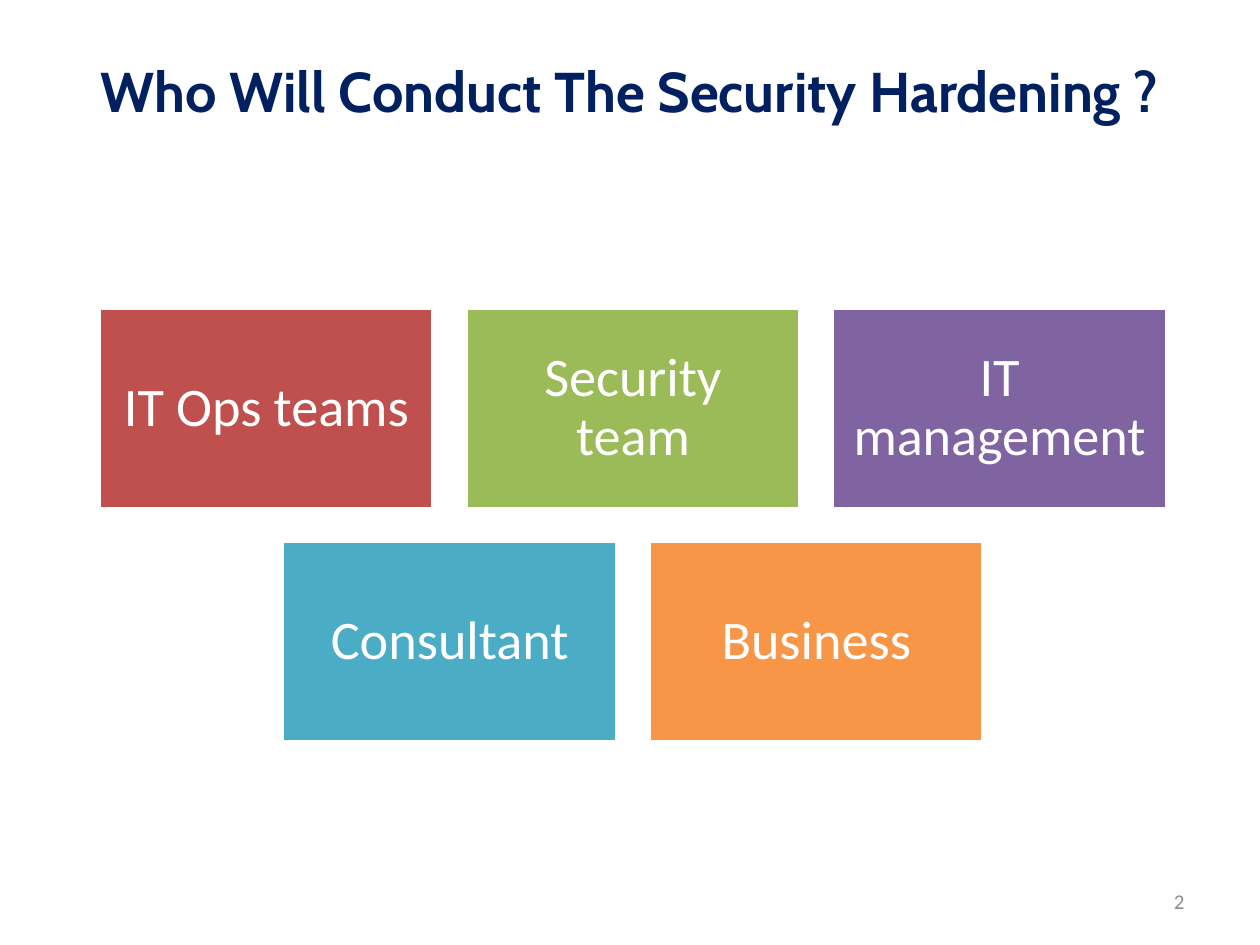
from pptx import Presentation
from pptx.dml.color import RGBColor
from pptx.enum import shapes, text
from pptx.util import Cm, Pt

TITLE = "Who Will Conduct The Security Hardening ?"
PAGE_NUMBER = "2"
TEAM_ROWS = [
    [("IT Ops teams", "C0504D"), ("Security team", "9BBB59"), ("IT management", "8064A2")],
    [("Consultant", "4BACC6"), ("Business", "F79646")],
]
CARD_WIDTH, CARD_HEIGHT, GAP = 6.73, 4.04, 0.66
GRID_CENTER, GRID_TOP = 12.76, 6.22


def color(value):
    return RGBColor.from_string(value)


def write(shape, wording, font, size, ink, align, bold=False):
    frame = shape.text_frame
    frame.text = wording
    frame.word_wrap = True
    frame.vertical_anchor = text.MSO_ANCHOR.MIDDLE
    para = frame.paragraphs[0]
    para.alignment = align
    span = para.runs[0]
    span.font.name = font
    span.font.size = Pt(size)
    span.font.bold = bold
    span.font.color.rgb = color(ink)
    return frame


def add_card(page, left, top, label, fill):
    card = page.shapes.add_shape(
        shapes.MSO_SHAPE.RECTANGLE, Cm(left), Cm(top), Cm(CARD_WIDTH), Cm(CARD_HEIGHT))
    card.shadow.inherit = False
    card.fill.solid()
    card.fill.fore_color.rgb = color(fill)
    card.line.color.rgb = color("FFFFFF")
    card.line.width = Pt(2)
    frame = write(card, label, "Calibri", 31, "FFFFFF", text.PP_ALIGN.CENTER)
    frame.margin_left = frame.margin_right = Cm(0.33)
    frame.margin_top = frame.margin_bottom = Cm(0.33)
    frame.paragraphs[0].line_spacing = 0.9


def main():
    deck = Presentation()
    deck.slide_width, deck.slide_height = Cm(25.4), Cm(19.05)
    page = deck.slides.add_slide(deck.slide_layouts[6])

    title = page.shapes.add_textbox(Cm(1.27), Cm(0.58), Cm(22.86), Cm(2.49))
    write(title, TITLE, "Cabin", 32, "002060", text.PP_ALIGN.CENTER, bold=True)

    for row, teams in enumerate(TEAM_ROWS):
        row_width = len(teams) * (CARD_WIDTH + GAP) - GAP
        row_left = GRID_CENTER - row_width / 2
        top = GRID_TOP + row * (CARD_HEIGHT + GAP)
        for column, (label, fill) in enumerate(teams):
            add_card(page, row_left + column * (CARD_WIDTH + GAP), top, label, fill)

    number = page.shapes.add_textbox(Cm(18.21), Cm(17.65), Cm(5.92), Cm(1.02))
    write(number, PAGE_NUMBER, "Calibri", 12, "8C8C8C", text.PP_ALIGN.RIGHT)

    deck.save("out.pptx")


if __name__ == "__main__":
    main()
